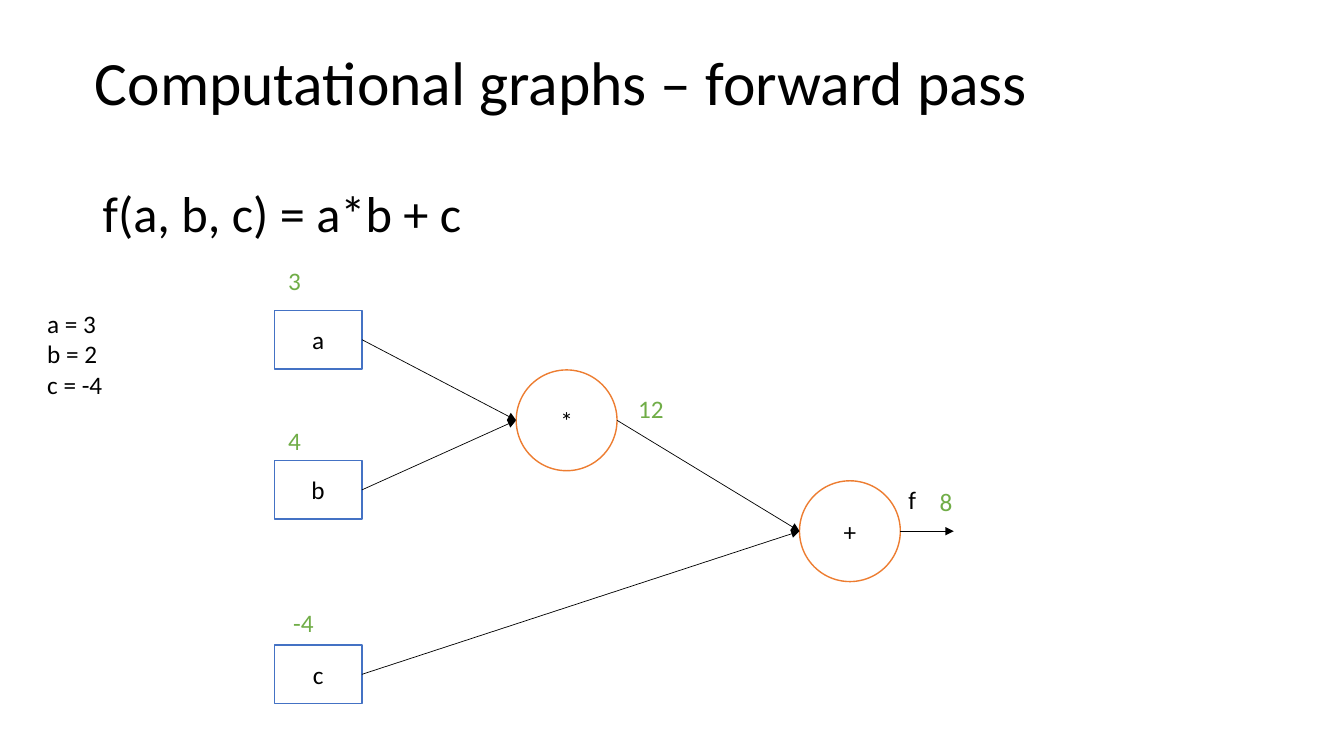
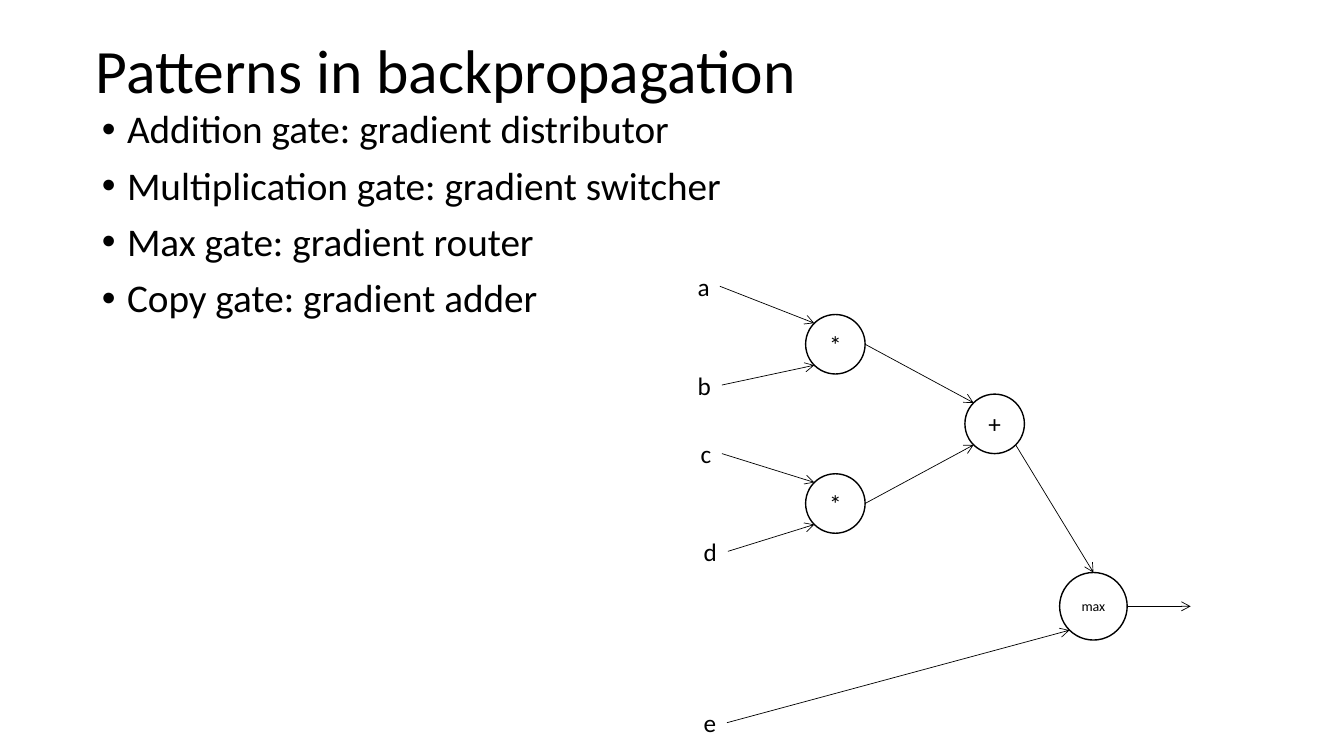
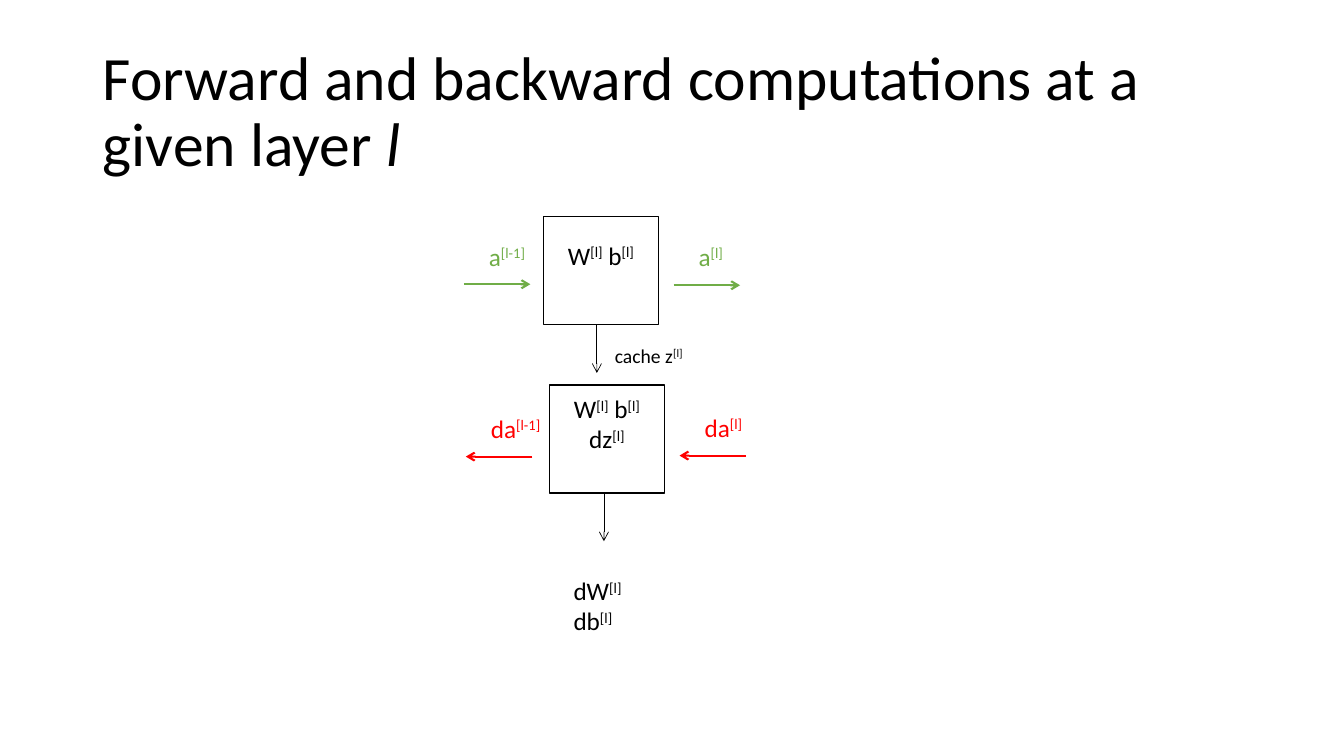
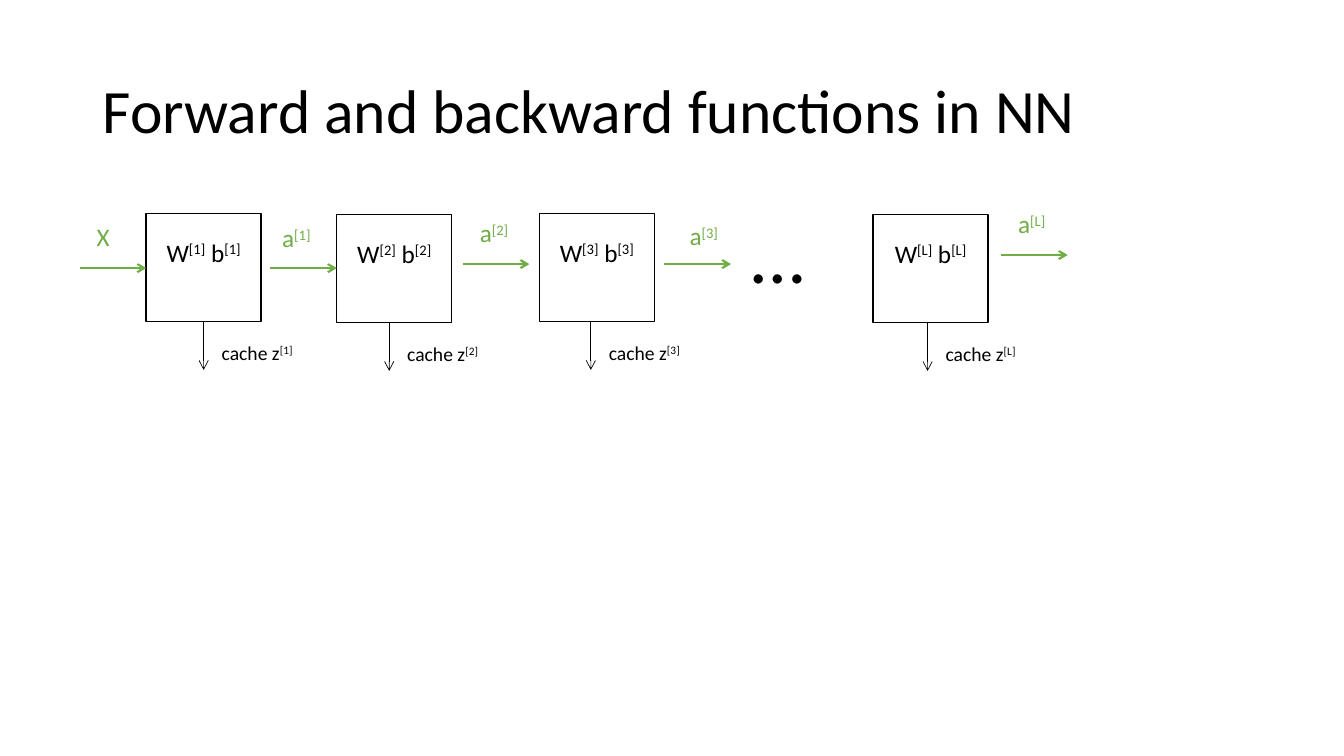
"""Builds four slides on computational graphs and backpropagation."""
from lxml.etree import SubElement
from pptx import Presentation
from pptx.dml.color import RGBColor
from pptx.enum.shapes import MSO_CONNECTOR, MSO_SHAPE
from pptx.enum.text import MSO_ANCHOR, MSO_AUTO_SIZE, PP_ALIGN
from pptx.oxml.ns import qn
from pptx.util import Inches, Pt

FONT = "Calibri"
BLACK, WHITE, BLUE, ORANGE = "000000", "FFFFFF", "4472C4", "ED7D31"
GREEN, RED = "70AD47", "FF0000"
TITLE_ONLY, TITLE_AND_CONTENT = 5, 1
LINE_HEIGHT = 0.3
SITES = {
    "left": (0, 0.5), "right": (1, 0.5), "top": (0.5, 0), "bottom": (0.5, 1),
    "upper left": (0.146, 0.146), "lower left": (0.146, 0.854), "lower right": (0.854, 0.854),
}

FORWARD_INPUTS = {"a": 3.08, "b": 4.57, "c": 6.4}
FORWARD_GATES = {"*": (5.12, 3.67), "+": (7.93, 4.77)}
FORWARD_EDGES = [("a", "*"), ("b", "*"), ("c", "+"), ("*", "+")]
FORWARD_VALUES = [
    ("3", 2.76, 2.58, 0.33), ("4", 2.76, 4.17, 0.33), ("-4", 2.81, 5.98, 0.48),
    ("12", 6.23, 3.85, 0.6), ("8", 9.22, 4.78, 0.6),
]

PATTERNS = [
    "Addition gate: gradient distributor",
    "Multiplication gate: gradient switcher",
    "Max gate: gradient router",
    "Copy gate: gradient adder",
]
PATTERN_INPUTS = {
    "a": (6.82, 2.64, 0.32), "b": (6.82, 3.62, 0.34), "c": (6.85, 4.3, 0.31),
    "d": (6.88, 5.27, 0.34), "e": (6.88, 6.97, 0.33),
}
PATTERN_GATES = {
    "product ab": ("*", 7.99, 3.12, 0.59, 18), "product cd": ("*", 7.99, 4.7, 0.59, 18),
    "sum": ("+", 9.57, 3.91, 0.59, 18), "max": ("max", 10.51, 5.68, 0.67, 10),
}
PATTERN_EDGES = [
    ("a", "right", "product ab", "upper left"), ("b", "right", "product ab", "lower left"),
    ("c", "right", "product cd", "upper left"), ("d", "right", "product cd", "lower left"),
    ("product ab", "right", "sum", "upper left"), ("product cd", "right", "sum", "lower left"),
    ("sum", "lower right", "max", "top"), ("e", "right", "max", "lower left"),
]

LAYER_SIGNALS = [
    ("a[l-1]", (4.75, 2.34, 0.6), (4.6, 2.82), 0.66, GREEN),
    ("a[l]", (6.83, 2.34, 0.46), (6.68, 2.83), 0.66, GREEN),
    ("da[l]", (6.89, 4.04, 0.6), (7.4, 4.52), -0.66, RED),
    ("da[l-1]", (4.77, 4.05, 0.73), (5.28, 4.53), -0.66, RED),
]
NETWORK_LAYERS = [
    ("1", 1.45, 2.12, 2.02), ("2", 3.34, 2.13, 3.86),
    ("3", 5.35, 2.12, 5.86), ("L", 8.66, 2.13, 9.2),
]
NETWORK_SIGNALS = [
    ("X", (0.86, 2.15, 0.33), (0.79, 2.66), 0.66, GREEN),
    ("a[1]", (2.7, 2.16, 0.51), (2.68, 2.66), 0.66, GREEN),
    ("a[2]", (4.66, 2.11, 0.51), (4.59, 2.62), 0.66, GREEN),
    ("a[3]", (6.74, 2.14, 0.51), (6.59, 2.62), 0.66, GREEN),
    ("a[L]", (10, 2.02, 0.51), (9.93, 2.53), 0.66, GREEN),
]


def rgb(value):
    return RGBColor.from_string(value)


def add_run(paragraph, text, size, color=BLACK, italic=False):
    run = paragraph.add_run()
    run.text = text
    formats = {"name": FONT, "size": Pt(size), "italic": italic}
    for name, value in formats.items():
        setattr(run.font, name, value)
    run.font.color.rgb = rgb(color)
    return run


def write_lines(frame, lines, size, color=BLACK, align=PP_ALIGN.LEFT):
    """Writes one paragraph per line, raising each bracketed index."""
    for number, line in enumerate(lines):
        paragraph = frame.add_paragraph() if number else frame.paragraphs[0]
        paragraph.alignment = align
        for position, piece in enumerate(line.replace("]", "[").split("[")):
            if position % 2:
                run = add_run(paragraph, f"[{piece}]", size, color)
                run.font._element.set("baseline", "30000")
            elif piece:
                add_run(paragraph, piece, size, color)


def place(shape, left, top, width, height):
    for name, value in zip(("left", "top", "width", "height"), (left, top, width, height)):
        setattr(shape, name, Inches(value))


def add_titled_slide(presentation, title, left=0.92, top=0.4, italic_end="", layout=TITLE_ONLY):
    slide = presentation.slides.add_slide(presentation.slide_layouts[layout])
    shape = slide.shapes.title
    place(shape, left, top, 11.5, 1.45)
    frame = shape.text_frame
    frame.auto_size = MSO_AUTO_SIZE.NONE
    frame.vertical_anchor = MSO_ANCHOR.MIDDLE
    paragraph = frame.paragraphs[0]
    paragraph.alignment = PP_ALIGN.LEFT
    paragraph.line_spacing = 0.9
    add_run(paragraph, title, 44)
    if italic_end:
        add_run(paragraph, italic_end, 44, italic=True)
    return slide


def add_bullets(shape, lines):
    frame = shape.text_frame
    frame.auto_size = MSO_AUTO_SIZE.NONE
    write_lines(frame, lines, 28)
    for number, paragraph in enumerate(frame.paragraphs):
        paragraph.line_spacing = 0.9
        paragraph.space_before = Pt(10 if number else 0)
        properties = paragraph._p.get_or_add_pPr()
        properties.set("marL", str(Inches(0.25)))
        properties.set("indent", str(-Inches(0.25)))
        SubElement(properties, qn("a:buFont")).set("typeface", "Arial")
        SubElement(properties, qn("a:buChar")).set("char", "•")


def add_label(slide, text, left, top, width, height=0.4, size=18, color=BLACK, wrap=False):
    shape = slide.shapes.add_textbox(*map(Inches, (left, top, width, height)))
    shape.text_frame.word_wrap = wrap
    write_lines(shape.text_frame, text.split("\n"), size, color)
    return shape


def add_node(slide, kind, text, left, top, width, height, line=BLACK, size=18, lift=0):
    shape = slide.shapes.add_shape(kind, *map(Inches, (left, top, width, height)))
    shape.shadow.inherit = False
    shape.fill.solid()
    shape.fill.fore_color.rgb = rgb(WHITE)
    shape.line.color.rgb = rgb(line)
    shape.line.width = Pt(1)
    frame = shape.text_frame
    frame.word_wrap = False
    frame.vertical_anchor = MSO_ANCHOR.MIDDLE
    frame.margin_bottom = Inches(0.05 + lift)
    write_lines(frame, text.split("\n"), size, align=PP_ALIGN.CENTER)
    return shape


def add_arrow(slide, start, end, color=BLACK, width=0.5, head="arrow"):
    points = [Inches(value) for value in (*start, *end)]
    arrow = slide.shapes.add_connector(MSO_CONNECTOR.STRAIGHT, *points)
    arrow.line.color.rgb = rgb(color)
    arrow.line.width = Pt(width)
    SubElement(arrow.line._get_or_add_ln(), qn("a:tailEnd")).set("type", head)
    SubElement(arrow._element.spPr, qn("a:effectLst"))


def site(shape, name):
    across, down = SITES[name]
    return ((shape.left + across * shape.width) / Inches(1),
            (shape.top + down * shape.height) / Inches(1))


def add_output(slide, shape, length, head="arrow"):
    x, y = site(shape, "right")
    add_arrow(slide, (x, y), (x + length, y), head=head)


def add_layer(slide, text, left, top, arrow_x, cache=""):
    """Adds a layer box, the arrow leaving it and its cache label."""
    box = add_node(slide, MSO_SHAPE.RECTANGLE, text, left, top, 1.14, 1.07, lift=LINE_HEIGHT)
    bottom = site(box, "bottom")[1]
    add_arrow(slide, (arrow_x, bottom), (arrow_x, bottom + 0.48))
    if cache:
        add_label(slide, cache, arrow_x + 0.08, bottom + 0.14, 0.97, 0.34, size=14)


def add_signals(slide, signals):
    for text, label, (x, y), length, color in signals:
        add_arrow(slide, (x, y), (x + length, y), color, 1.5)
        add_label(slide, text, *label, color=color)


def build_forward_pass(presentation):
    slide = add_titled_slide(presentation, "Computational graphs – forward pass", 0.84, 0.12)
    add_label(slide, "f(a, b, c) = a*b + c", 0.92, 1.76, 3.79, 0.71, size=36)
    add_label(slide, "a = 3\nb = 2\nc = -4", 0.37, 3.01, 0.76, 1.01)
    nodes = {}
    for name, top in FORWARD_INPUTS.items():
        nodes[name] = add_node(slide, MSO_SHAPE.RECTANGLE, name, 2.72, top, 0.87, 0.58, BLUE)
    for name, corner in FORWARD_GATES.items():
        nodes[name] = add_node(slide, MSO_SHAPE.OVAL, name, *corner, 1, 1, ORANGE)
    for start, end in FORWARD_EDGES:
        add_arrow(slide, site(nodes[start], "right"), site(nodes[end], "left"), head="triangle")
    add_output(slide, nodes["+"], 0.53, "triangle")
    add_label(slide, "f", 8.91, 4.76, 0.28)
    for value in FORWARD_VALUES:
        add_label(slide, *value, color=GREEN, wrap=True)


def build_patterns(presentation):
    slide = add_titled_slide(presentation, "Patterns in backpropagation", 0.85, 0,
                             layout=TITLE_AND_CONTENT)
    body = slide.placeholders[1]
    place(body, 0.91, 1.04, 11.5, 4.76)
    add_bullets(body, PATTERNS)
    nodes = {}
    for name, (text, left, top, side, size) in PATTERN_GATES.items():
        nodes[name] = add_node(slide, MSO_SHAPE.OVAL, text, left, top, side, side, size=size)
    for name, position in PATTERN_INPUTS.items():
        nodes[name] = add_label(slide, name, *position)
    for start, start_site, end, end_site in PATTERN_EDGES:
        add_arrow(slide, site(nodes[start], start_site), site(nodes[end], end_site))
    add_output(slide, nodes["max"], 0.63)


def build_single_layer(presentation):
    slide = add_titled_slide(presentation, "Forward and backward computations at a given layer ",
                             italic_end="l")
    add_layer(slide, "W[l] b[l]", 5.39, 2.15, 5.92, "cache z[l]")
    add_layer(slide, "W[l] b[l]\ndz[l]", 5.45, 3.82, 5.99)
    add_label(slide, "dW[l]\ndb[l]", 5.59, 5.66, 0.76, 1.01)
    add_signals(slide, LAYER_SIGNALS)


def build_network(presentation):
    slide = add_titled_slide(presentation, "Forward and backward functions in NN")
    for index, left, top, arrow_x in NETWORK_LAYERS:
        add_layer(slide, f"W[{index}] b[{index}]", left, top, arrow_x, f"cache z[{index}]")
    add_label(slide, "…", 7.36, 2, 0.73, 1.03, size=55)
    add_signals(slide, NETWORK_SIGNALS)


def main():
    presentation = Presentation()
    presentation.slide_width = Inches(13.33)
    presentation.slide_height = Inches(7.5)
    for build in (build_forward_pass, build_patterns, build_single_layer, build_network):
        build(presentation)
    presentation.save("out.pptx")


if __name__ == "__main__":
    main()
